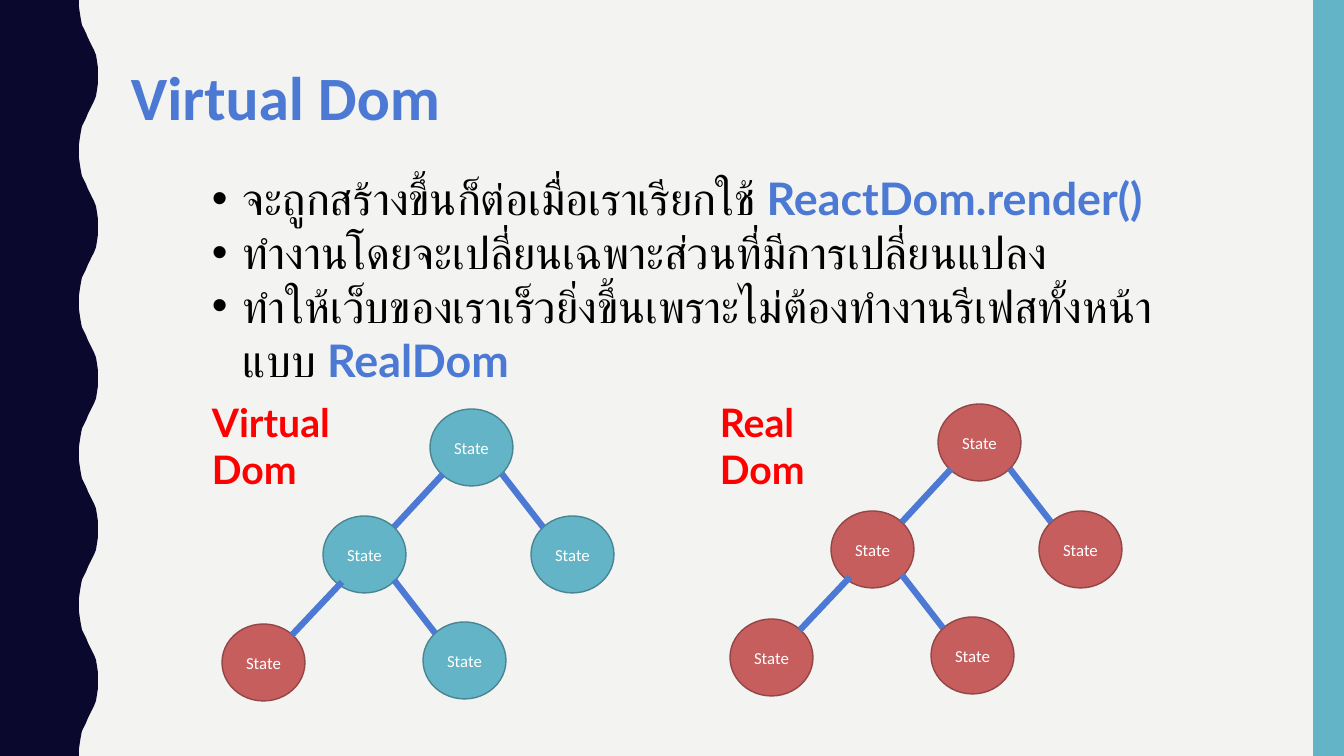
"""Build the Virtual Dom slide with its two state trees."""
from pptx import Presentation
from pptx.dml.color import RGBColor
from pptx.enum.shapes import MSO_CONNECTOR, MSO_SHAPE
from pptx.enum.text import MSO_ANCHOR, MSO_AUTO_SIZE, PP_ALIGN
from pptx.oxml import parse_xml
from pptx.oxml.ns import nsdecls, qn
from pptx.util import Pt

TITLE = "Virtual Dom"
POINTS = [
    [("จะถูกสร้างขึ้นก็ต่อเมื่อเราเรียกใช้ ", "body"), ("ReactDom.render()", "key")],
    [("ทำงานโดยจะเปลี่ยนเฉพาะส่วนที่มีการเปลี่ยนแปลง", "body")],
    [("ทำให้เว็บของเราเร็วยิ่งขึ้นเพราะไม่ต้องทำงานรีเฟสทั้งหน้าแบบ ", "body"),
     ("RealDom", "key")],
]
STATE = "State"
TREES = [
    {"name": "Virtual Dom", "label": (202, 393), "shift": (0, 0),
     "tones": ["teal", "teal", "teal", "rose", "teal"]},
    {"name": "Real Dom", "label": (710, 393), "shift": (508, -5),
     "tones": ["rose"] * 5},
]
NODES = [(430, 409), (323, 516), (531, 516), (222, 624), (423, 622)]
EDGES = [(443, 474, 394, 527), (502, 474, 543, 527),
         (342, 582, 292, 635), (394, 580, 435, 633)]
NODE = (83, 77)
LABEL = (182, 57)
WIDE, HIGH = 1344, 756
WAVES = 5
CREST = [(79, 0), (79, 7), (80, 14), (81, 20), (82, 25), (84, 29), (86, 33),
         (88, 38), (90, 42), (92, 46), (94, 50), (96, 55), (97, 61), (98, 68)]
PEAK = 98
THEME = {
    "back": "F3F3F2", "wave": "0B082E", "edge": "4B79D3",
    "teal": ("62B4C6", "498592"), "rose": ("C65E5E", "924646"),
    "title": {"name": "Calibri", "size": 44, "bold": True, "color": "4B79D3"},
    "body": {"name": "Lato", "size": 32, "bold": False, "color": "000000"},
    "key": {"name": "Lato", "size": 32, "bold": True, "color": "4B79D3"},
    "label": {"name": "Lato", "size": 28, "bold": True, "color": "FF0000"},
    "node": {"name": "Calibri", "size": 12, "bold": False, "color": "FFFFFF"},
    "line": 4.5, "rim": 1, "indent": 31,
}


def px(*vals):
    """Turn pixel lengths into EMU."""
    return [round(val * 914400 / 100.8) for val in vals]


def paint(fill, tone):
    """Give a fill one solid colour."""
    fill.solid()
    fill.fore_color.rgb = RGBColor.from_string(tone)


def plain(shape, tone, rim=None):
    """Set the fill and rim of a shape without a shadow."""
    shape.shadow.inherit = False
    paint(shape.fill, tone)
    if rim:
        paint(shape.line.fill, rim)
        shape.line.width = Pt(THEME["rim"])
    else:
        shape.line.fill.background()


def write(para, text, style):
    """Add a run in a named style."""
    run = para.add_run()
    run.text = text
    for key, val in THEME[style].items():
        if key == "color":
            run.font.color.rgb = RGBColor.from_string(val)
        else:
            setattr(run.font, key, Pt(val) if key == "size" else val)


def add_box(slide, area, paras, wrap=True, bullet=False):
    """Add a text box of styled paragraphs."""
    frame = slide.shapes.add_textbox(*px(*area)).text_frame
    frame.word_wrap = wrap
    frame.auto_size = MSO_AUTO_SIZE.SHAPE_TO_FIT_TEXT
    for pos, runs in enumerate(paras):
        para = frame.add_paragraph() if pos else frame.paragraphs[0]
        if bullet:
            props = para._p.get_or_add_pPr()
            step = px(THEME["indent"])[0]
            props.set("marL", str(step))
            props.set("indent", str(-step))
            for tag in ('buFont %s typeface="Arial"', 'buChar %s char="•"'):
                props.append(parse_xml(f"<a:{tag % nsdecls('a')}/>"))
        for text, style in runs:
            write(para, text, style)


def add_wave(slide):
    """Draw the wavy band on the left."""
    span = HIGH / WAVES
    down = [*CREST, (PEAK, span / 2)]
    cycle = down + [(x, span - y) for x, y in reversed(CREST)]
    edge = [(x, y + turn * span) for turn in range(WAVES) for x, y in cycle]
    build = slide.shapes.build_freeform(0, 0)
    build.add_line_segments([px(*spot) for spot in [*edge, (0, HIGH)]], close=True)
    plain(build.convert_to_shape(), THEME["wave"])


def add_tree(slide, tree):
    """Draw one tree of states and its label."""
    dx, dy = tree["shift"]
    for (x, y), tone in zip(NODES, tree["tones"]):
        node = slide.shapes.add_shape(MSO_SHAPE.OVAL, *px(x + dx, y + dy, *NODE))
        plain(node, *THEME[tone])
        node.text_frame.vertical_anchor = MSO_ANCHOR.MIDDLE
        para = node.text_frame.paragraphs[0]
        para.alignment = PP_ALIGN.CENTER
        write(para, STATE, "node")
    for x1, y1, x2, y2 in EDGES:
        ends = px(x1 + dx, y1 + dy, x2 + dx, y2 + dy)
        line = slide.shapes.add_connector(MSO_CONNECTOR.STRAIGHT, *ends)
        paint(line.line.fill, THEME["edge"])
        line.line.width = Pt(THEME["line"])
        props = line._element.find(qn("p:spPr"))
        props.append(parse_xml(f"<a:effectLst {nsdecls('a')}/>"))
    add_box(slide, (*tree["label"], *LABEL), [[(tree["name"], "label")]])


def main():
    """Compose and save the slide."""
    deck = Presentation()
    deck.slide_width, deck.slide_height = px(WIDE, HIGH)
    slide = deck.slides.add_slide(deck.slide_layouts[6])
    paint(slide.background.fill, THEME["back"])
    add_wave(slide)
    band = slide.shapes.add_shape(MSO_SHAPE.RECTANGLE, *px(1313, 0, 31, HIGH))
    plain(band, THEME["teal"][0])
    add_box(slide, (121, 54, 386, 85), [[(TITLE, "title")]], wrap=False)
    add_box(slide, (202, 166, 973, 173), POINTS, bullet=True)
    for tree in TREES:
        add_tree(slide, tree)
    deck.save("out.pptx")


if __name__ == "__main__":
    main()
